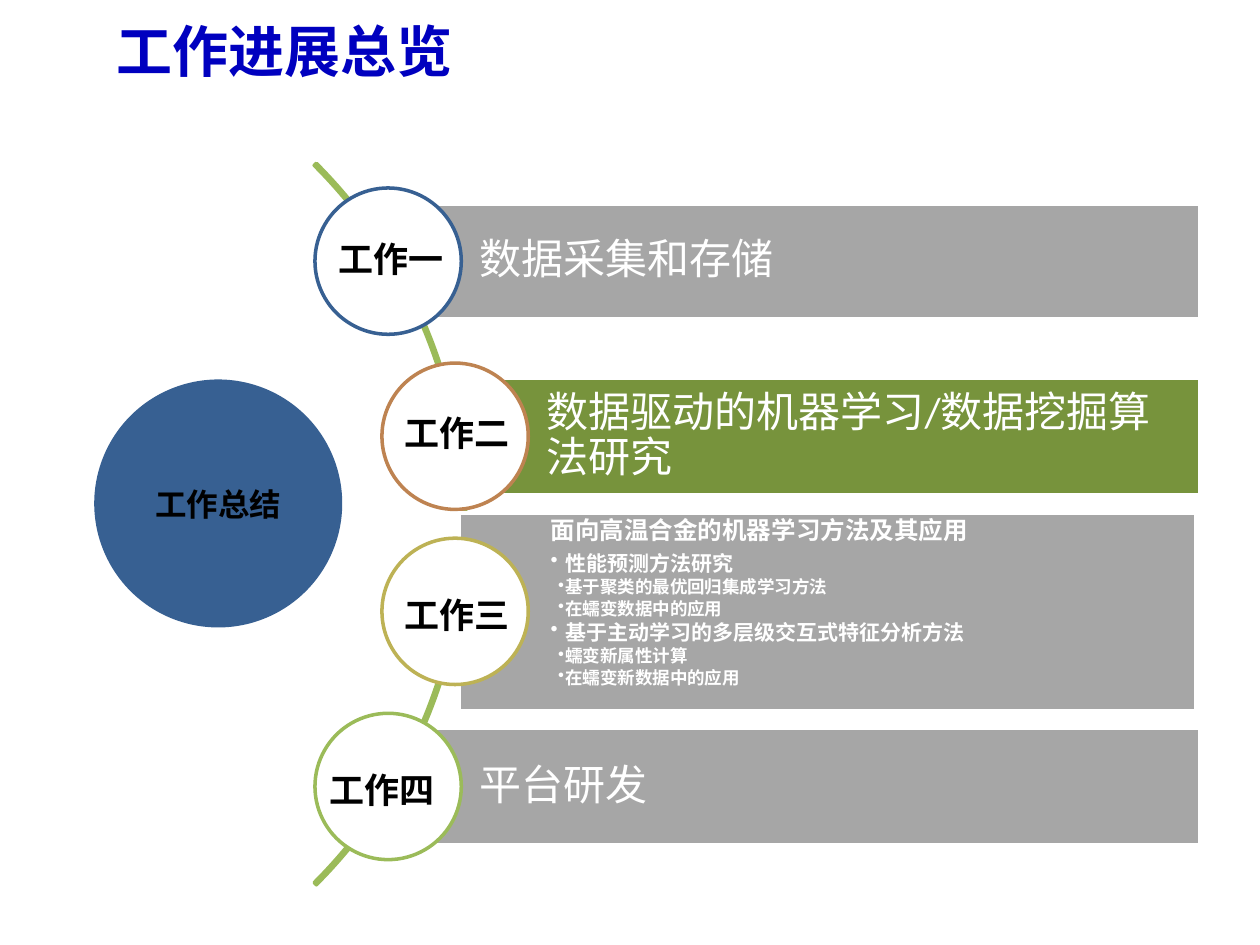
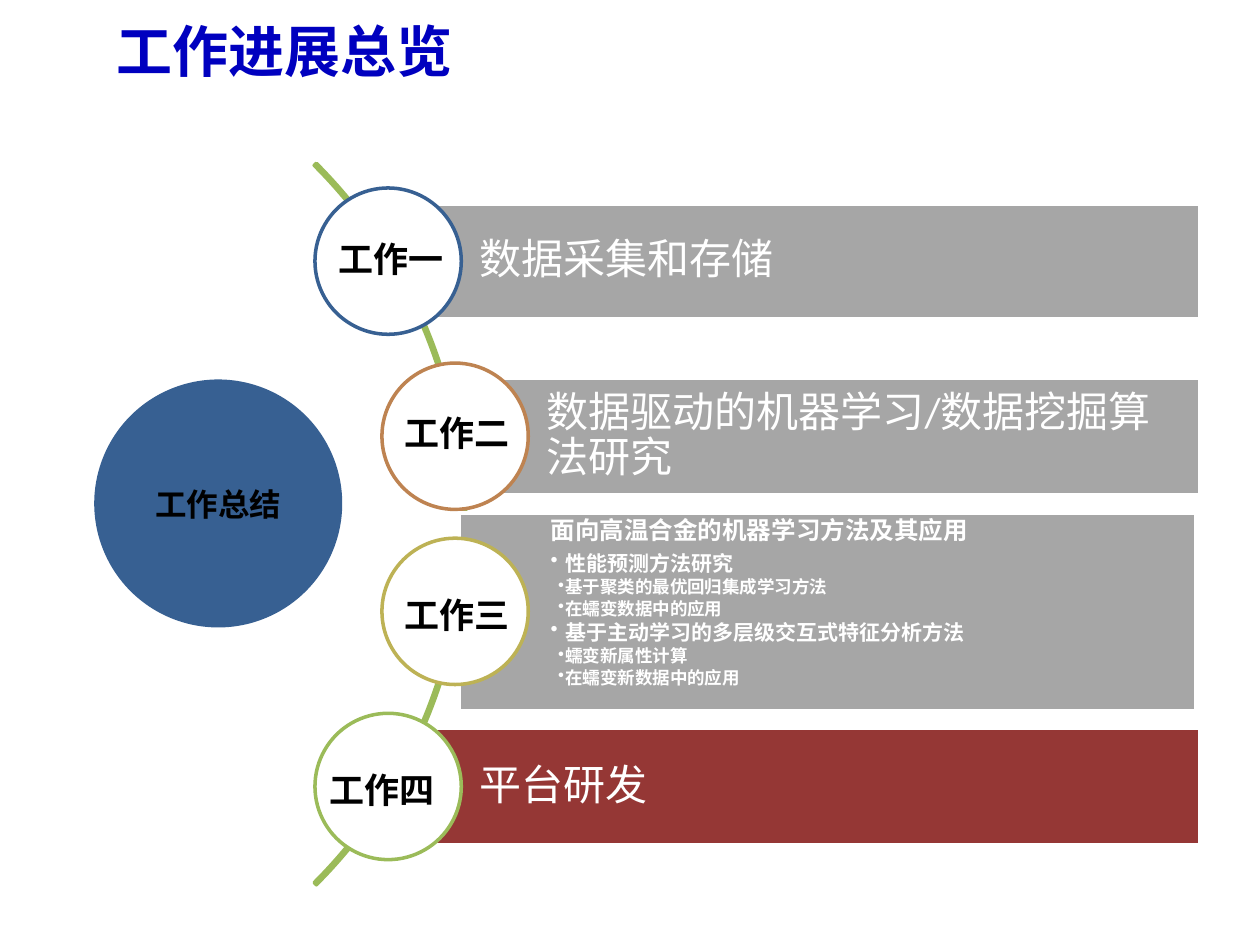
from lxml import etree
from pptx import Presentation
from pptx.dml.color import RGBColor
from pptx.enum.shapes import MSO_SHAPE
from pptx.enum.text import MSO_ANCHOR, PP_ALIGN
from pptx.oxml.ns import qn
from pptx.util import Cm, Pt

RECT, OVAL, ARC = MSO_SHAPE.RECTANGLE, MSO_SHAPE.OVAL, MSO_SHAPE.BLOCK_ARC
TOP, MIDDLE = MSO_ANCHOR.TOP, MSO_ANCHOR.MIDDLE
LEFT, CENTER = PP_ALIGN.LEFT, PP_ALIGN.CENTER

BLUE, GREEN, GREY, WHITE, BLACK = "376092", "9BBB59", "A6A6A6", "FFFFFF", "000000"
TITLE_BLUE, TITLE_FONT = "0000BF", "Noto Sans CJK SC"
CIRCLE_SIZE, CIRCLE_TOP, CIRCLE_STEP = 2.95, 3.79, 3.53

# circle left, circle line, label position, bar box, bar text
works = [
    ("工作一", 6.35, BLUE, (6.58, 4.67), (7.82, 4.11, 16.36, 2.31), "数据采集和存储"),
    ("工作二", 7.7, "BE8351", (7.9, 8.18), (9.17, 7.62, 15.01, 2.36),
     "数据驱动的机器学习/数据挖掘算法研究"),
    ("工作三", 7.7, "BDB255", (7.9, 11.84), (9.25, 10.34, 14.86, 3.99), None),
    ("工作四", 6.35, GREEN, (6.4, 15.37), (7.82, 14.68, 16.36, 2.36), "平台研发"),
]
# level, text
topics = [
    (0, "面向高温合金的机器学习方法及其应用"),
    (1, "性能预测方法研究"),
    (2, "基于聚类的最优回归集成学习方法"),
    (2, "在蠕变数据中的应用"),
    (1, "基于主动学习的多层级交互式特征分析方法"),
    (2, "蠕变新属性计算"),
    (2, "在蠕变新数据中的应用"),
]
# size, space after, hanging indent for each level
topic_styles = [(14, 4.9, 0), (12, 1.8, 0.3), (10, 1.5, 0.15)]
# work number and bar colour that each slide brings out
highlights = [(1, "77933C"), (3, "953735")]


def write(tf, text, size, color=WHITE, bold=False, font="Calibri", align=LEFT,
          spacing=None, after=0, level=0, hanging=0):
    """Fill the first paragraph of tf, or add one if that is taken."""
    p = tf.paragraphs[0] if not tf.text else tf.add_paragraph()
    p.level, p.alignment, p.line_spacing = level, align, spacing
    p.space_before, p.space_after = Pt(0), Pt(after)
    if hanging:
        pPr = p._p.get_or_add_pPr()
        pPr.set("marL", str(Cm(0.3)))
        pPr.set("indent", str(-Cm(hanging)))
        etree.SubElement(pPr, qn("a:buChar")).set("char", "•")
    r = p.add_run()
    r.text = text
    r.font.size, r.font.bold, r.font.name = Pt(size), bold, font
    r.font.color.rgb = RGBColor.from_string(color)
    etree.SubElement(r._r.get_or_add_rPr(), qn("a:ea")).set("typeface", font)


def add_shape(kind, box, fill=None, line=None):
    sp = s.shapes.add_shape(kind, *map(Cm, box))
    sp.shadow.inherit = False
    if fill:
        sp.fill.solid()
        sp.fill.fore_color.rgb = RGBColor.from_string(fill)
    else:
        sp.fill.background()
    if line:
        sp.line.color.rgb = RGBColor.from_string(line)
        sp.line.width = Pt(2)
    else:
        sp.line.fill.background()
    return sp


prs = Presentation()
prs.slide_width, prs.slide_height = Cm(25.4), Cm(19.05)

for active, active_color in highlights:
    s = prs.slides.add_slide(prs.slide_layouts[5])
    title = s.shapes.title
    title.left, title.top, title.width, title.height = Cm(2.1), Cm(-0.08), Cm(22.86), Cm(2.2)
    title.text_frame.vertical_anchor = MIDDLE
    write(title.text_frame, "工作进展总览", 32, TITLE_BLUE, True, TITLE_FONT)

    summary = add_shape(OVAL, (1.9, 7.65, 5, 5), BLUE)
    summary.text_frame.vertical_anchor = MIDDLE
    write(summary.text_frame, "工作总结", 18, BLACK, True, align=CENTER)

    arc = add_shape(ARC, (-11.18, 0.28, 20.57, 20.57), line=GREEN)
    for i, value in enumerate((189, 27, 0.003)):
        arc.adjustments[i] = value

    for i, (label, left, color, label_at, bar_box, text) in enumerate(works):
        bar = add_shape(RECT, bar_box, active_color if i == active else GREY, WHITE)
        tf = bar.text_frame
        tf.word_wrap = True
        tf.margin_left = Cm(1.85)
        tf.margin_top = tf.margin_right = tf.margin_bottom = Cm(0.18 if text else 0.1)
        tf.vertical_anchor = MIDDLE if text else TOP
        if text:
            write(tf, text, 24, spacing=0.9)
        else:
            for level, topic in topics:
                size, after, hanging = topic_styles[level]
                write(tf, topic, size, bold=True, spacing=0.9, after=after,
                      level=level, hanging=hanging)
        add_shape(OVAL, (left, CIRCLE_TOP + i * CIRCLE_STEP, CIRCLE_SIZE, CIRCLE_SIZE),
                  WHITE, color)
        tb = s.shapes.add_textbox(*map(Cm, (*label_at, 3, 1.12)))
        tb.text_frame.word_wrap = True
        write(tb.text_frame, label, 20, BLACK, True)

prs.save("out.pptx")
